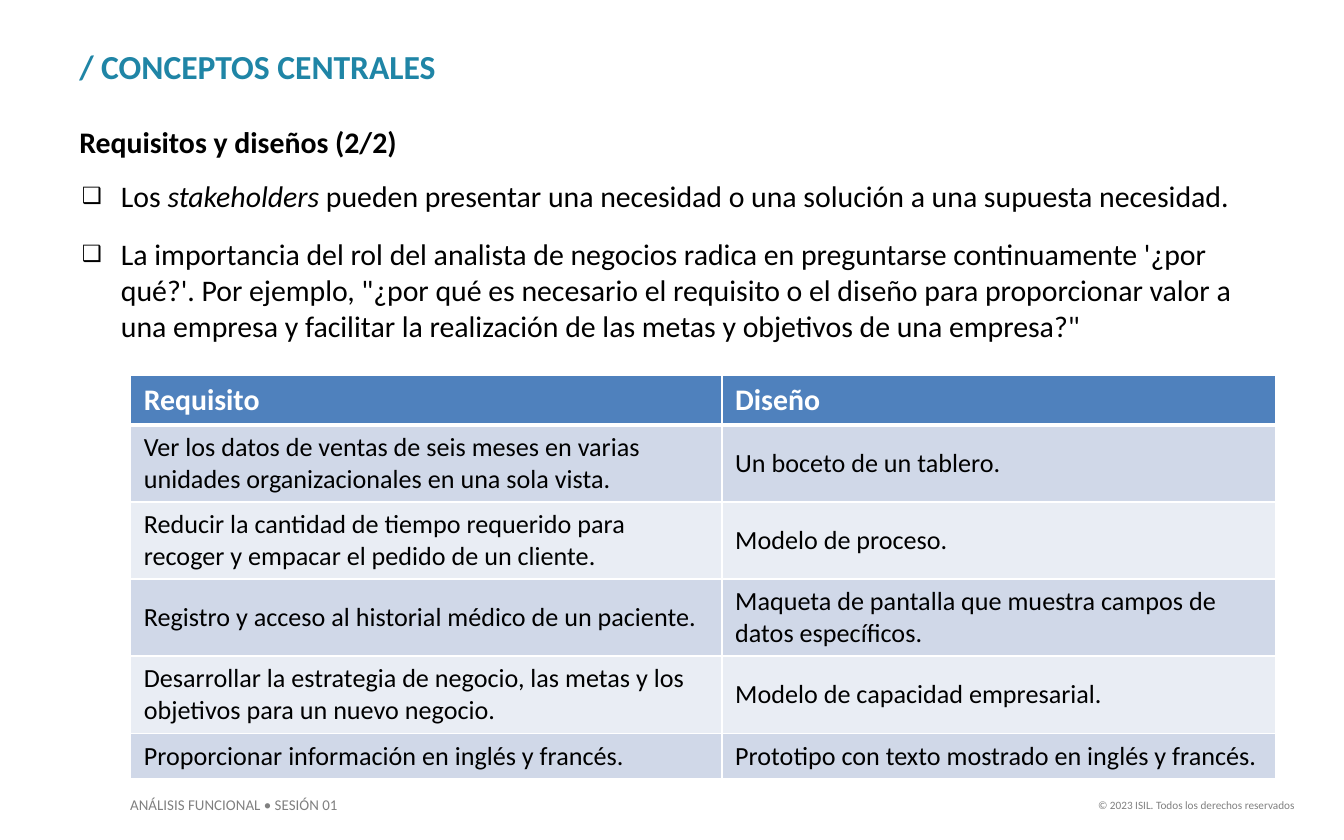
"""Build the slide on requirements and designs."""
import pptx
import pptx.dml.color
import pptx.enum.text
import pptx.oxml
import pptx.oxml.ns
import pptx.util

Inches = pptx.util.Inches
Pt = pptx.util.Pt
ALIGN = pptx.enum.text.PP_ALIGN
ANCHOR = pptx.enum.text.MSO_ANCHOR

HUES = {"teal": "1F85A6", "black": "000000", "white": "FFFFFF", "gray": "808080",
        "head": "4F81BD", "dark": "D0D8E8", "light": "E9EDF4"}

TITLE = "/ CONCEPTOS CENTRALES"
TOPIC = "Requisitos y diseños (2/2)"
POINTS = [
    [("Los ", False), ("stakeholders", True),
     (" pueden presentar una necesidad o una solución a una supuesta necesidad.", False)],
    [("La importancia del rol del analista de negocios radica en preguntarse continuamente "
      "'¿por qué?'. Por ejemplo, \"¿por qué es necesario el requisito o el diseño para "
      "proporcionar valor a una empresa y facilitar la realización de las metas y objetivos "
      "de una empresa?\"", False)],
]
ROWS = [
    ("Requisito", "Diseño"),
    ("Ver los datos de ventas de seis meses en varias unidades organizacionales en una sola vista.",
     "Un boceto de un tablero."),
    ("Reducir la cantidad de tiempo requerido para recoger y empacar el pedido de un cliente.",
     "Modelo de proceso."),
    ("Registro y acceso al historial médico de un paciente.",
     "Maqueta de pantalla que muestra campos de datos específicos."),
    ("Desarrollar la estrategia de negocio, las metas y los objetivos para un nuevo negocio.",
     "Modelo de capacidad empresarial."),
    ("Proporcionar información en inglés y francés.",
     "Prototipo con texto mostrado en inglés y francés."),
]
WIDTHS = [4.4, 4.12]
HEIGHTS = [0.3, 0.46, 0.46, 0.46, 0.46, 0.28]
COURSE = "ANÁLISIS FUNCIONAL • SESIÓN 01"
RIGHTS = "© 2023 ISIL. Todos los derechos reservados"


def color(name):
    return pptx.dml.color.RGBColor.from_string(HUES[name])


def node(xml):
    return pptx.oxml.parse_xml(xml.replace(">", f" {pptx.oxml.ns.nsdecls('a')}>", 1))


def mark(para, indent):
    props = para._p.get_or_add_pPr()
    props.set("marL", str(Inches(indent)))
    props.set("indent", str(-Inches(indent)))
    props.append(node('<a:buSzPct val="75000"></a:buSzPct>'))
    props.append(node('<a:buChar char="❑"></a:buChar>'))


def write(frame, paras, size=16, hue="black", bold=False, align=ALIGN.LEFT,
          anchor=ANCHOR.TOP, line=1.0, after=0, indent=None):
    """Fill a frame with a string or with lists of (text, italic) runs."""
    if isinstance(paras, str):
        paras = [[(paras, False)]]
    frame.word_wrap = True
    frame.auto_size = pptx.enum.text.MSO_AUTO_SIZE.NONE
    frame.vertical_anchor = anchor
    for i, runs in enumerate(paras):
        para = frame.paragraphs[0] if i == 0 else frame.add_paragraph()
        if indent:
            mark(para, indent)
        para.alignment = align
        para.line_spacing = line
        para.space_before, para.space_after = Pt(0), Pt(after)
        for text, slant in runs:
            run = para.add_run()
            run.text = text
            font = run.font
            font.name, font.size = "Calibri", Pt(size)
            font.bold, font.italic = bold, slant
            font.color.rgb = color(hue)


def place(shape, left, top, width, height):
    shape.left, shape.top = Inches(left), Inches(top)
    shape.width, shape.height = Inches(width), Inches(height)
    return shape.text_frame


def inset(frame, side, edge):
    frame.margin_left = frame.margin_right = Inches(side)
    frame.margin_top = frame.margin_bottom = Inches(edge)
    return frame


def border(cell, base):
    props = cell._tc.get_or_add_tcPr()
    for i, (side, width) in enumerate([("L", 1), ("R", 1), ("T", 1), ("B", base)]):
        props.insert(i, node(
            f'<a:ln{side} w="{Pt(width)}"><a:solidFill><a:srgbClr val="{HUES["white"]}"/>'
            f'</a:solidFill></a:ln{side}>'))


def grid(slide, left, top):
    table = slide.shapes.add_table(
        len(ROWS), len(WIDTHS), Inches(left), Inches(top),
        Inches(sum(WIDTHS)), Inches(sum(HEIGHTS))).table
    for col, width in zip(table.columns, WIDTHS):
        col.width = Inches(width)
    for r, texts in enumerate(ROWS):
        table.rows[r].height = Inches(HEIGHTS[r])
        head = r == 0
        for c, text in enumerate(texts):
            cell = table.cell(r, c)
            write(cell.text_frame, text, size=16 if head else 14,
                  hue="white" if head else "black", bold=head)
            cell.vertical_anchor = ANCHOR.MIDDLE
            cell.fill.solid()
            cell.fill.fore_color.rgb = color("head" if head else "dark" if r % 2 else "light")
            border(cell, 3 if head else 1)


def main():
    deck = pptx.Presentation()
    deck.slide_width, deck.slide_height = Inches(10), Inches(6.25)
    slide = deck.slides.add_slide(deck.slide_layouts[1])
    title, body = slide.placeholders

    def box(*area):
        return place(slide.shapes.add_textbox(0, 0, 0, 0), *area)

    write(inset(place(title, 0.51, 0.3, 8.98, 0.39), 0.08, 0.04), TITLE,
          size=18, hue="teal", bold=True)
    write(inset(box(0.51, 0.88, 8.98, 0.39), 0.08, 0.04), TOPIC,
          bold=True, anchor=ANCHOR.MIDDLE, line=0.85)
    write(place(body, 0.51, 1.27, 8.98, 1.36), POINTS, after=12, indent=0.29)
    grid(slide, 0.97, 2.79)
    write(box(0.87, 5.87, 1.79, 0.24), COURSE, size=8, hue="gray")
    write(box(8.01, 5.89, 1.72, 0.2), RIGHTS, size=6, hue="gray", align=ALIGN.RIGHT)
    deck.save("out.pptx")


if __name__ == "__main__":
    main()
